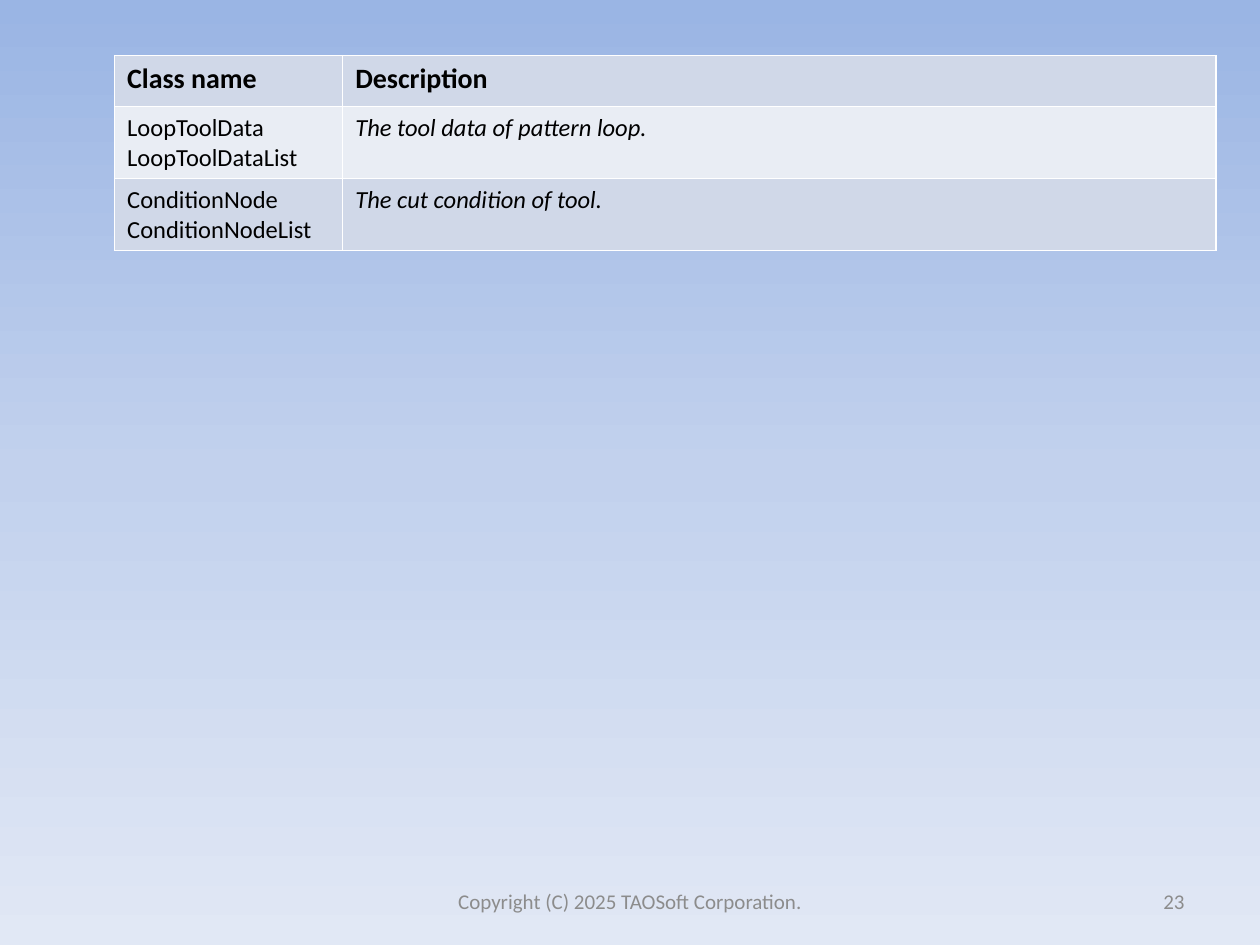
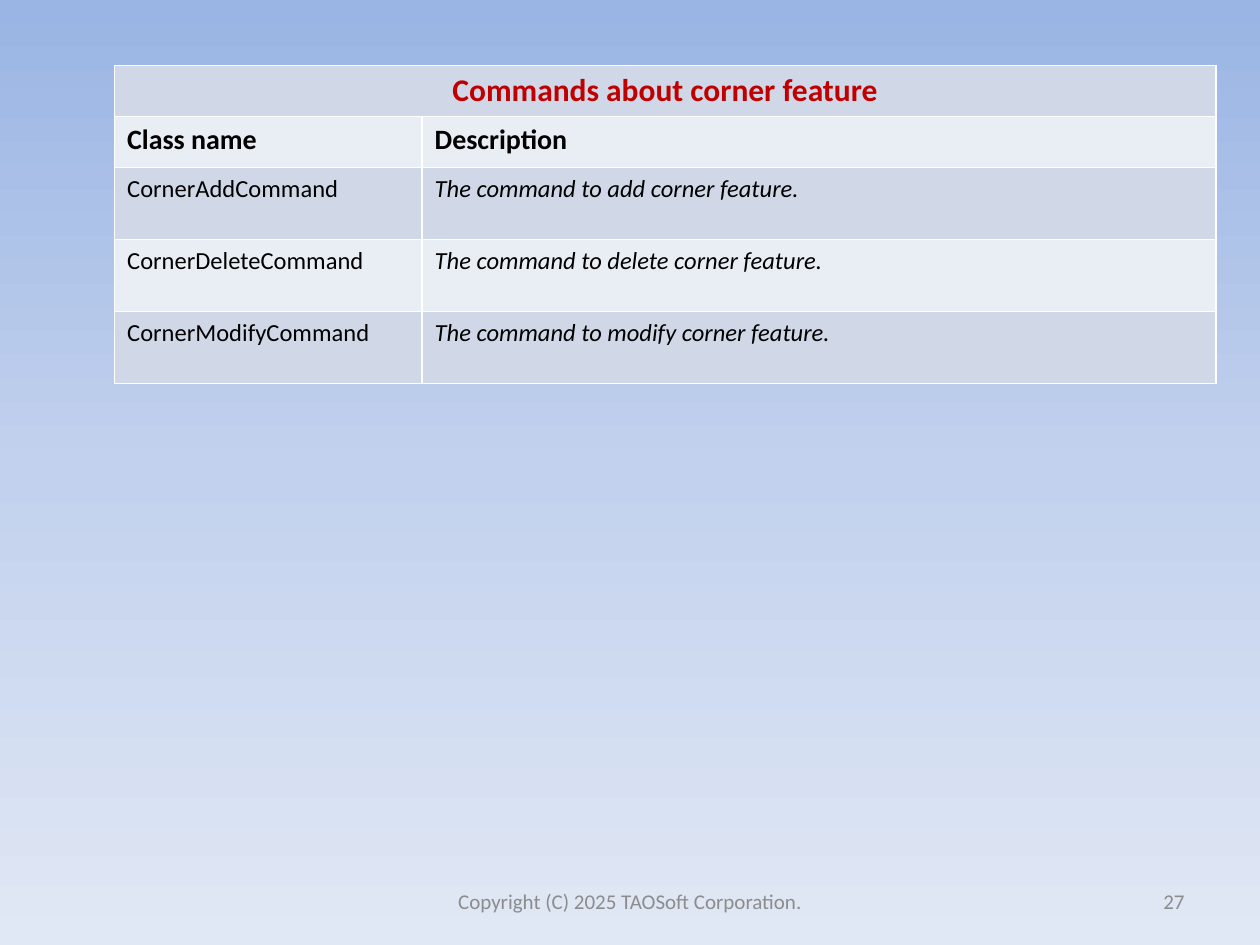
"""Build two class reference slides with banded tables on a shared gradient."""
import copy

import pptx
import pptx.dml.color
import pptx.enum.text
import pptx.oxml
import pptx.oxml.ns
import pptx.util
from pptx.util import Cm

RGBColor = pptx.dml.color.RGBColor
Align = pptx.enum.text.PP_ALIGN

SKY_TOP = RGBColor(0x9A, 0xB5, 0xE4)
SKY_MIDDLE = RGBColor(0xC2, 0xD1, 0xED)
SKY_BOTTOM = RGBColor(0xE1, 0xE8, 0xF5)
BAND_DARK = RGBColor(0xD0, 0xD8, 0xE8)
BAND_LIGHT = RGBColor(0xE9, 0xED, 0xF4)
BLACK = RGBColor(0, 0, 0)
RED = RGBColor(0xC0, 0, 0)
GREY = RGBColor(0x8C, 0x8C, 0x8C)
WHITE = RGBColor(0xFF, 0xFF, 0xFF)

FONT = "Calibri"
COPYRIGHT = "Copyright (C) 2025 TAOSoft Corporation."
COLUMN_NAMES = ("Class name", "Description")
TABLE_LEFT, TABLE_WIDTH = Cm(2.31), Cm(22.2)
HEADER_HEIGHT, BODY_HEIGHT = Cm(1.03), Cm(1.45)


def set_background(master):
    """Give the slide master its three-colour vertical gradient."""
    fill = master.background.fill
    fill.gradient()
    fill.gradient_angle = 270
    stop_list = master.element.find(".//" + pptx.oxml.ns.qn("a:gsLst"))
    stop_list.insert(1, copy.deepcopy(stop_list[0]))
    colors = (SKY_TOP, SKY_MIDDLE, SKY_BOTTOM)
    for index, (stop, color) in enumerate(zip(fill.gradient_stops, colors)):
        stop.position = index / 2
        stop.color.rgb = color


def format_text(text_frame, size, color, bold=False, italic=False, align=Align.LEFT):
    """Apply one text style to every paragraph of a frame."""
    for paragraph in text_frame.paragraphs:
        paragraph.alignment = align
        font = paragraph.font
        font.name = FONT
        font.size = pptx.util.Pt(size)
        font.color.rgb = color
        font.bold = bold
        font.italic = italic


def add_footer_text(slide, text, left, width, align):
    """Add one grey text box on the footer line."""
    text_frame = slide.shapes.add_textbox(left, Cm(17.65), width, Cm(1.02)).text_frame
    text_frame.word_wrap = True
    text_frame.vertical_anchor = pptx.enum.text.MSO_ANCHOR.MIDDLE
    text_frame.text = text
    format_text(text_frame, 12, GREY, align=align)


def style_cell(cell, fill_color):
    """Give a cell white borders and a solid fill."""
    properties = cell._tc.get_or_add_tcPr()
    for side in ("lnL", "lnR", "lnT", "lnB"):
        properties.append(pptx.oxml.parse_xml(
            f'<a:{side} {pptx.oxml.ns.nsdecls("a")} w="12700"><a:solidFill>'
            f'<a:srgbClr val="{WHITE}"/></a:solidFill></a:{side}>'))
    cell.fill.solid()
    cell.fill.fore_color.rgb = fill_color


def add_class_table(slide, top, name_width, classes, heading=None):
    """Add a table of classes, with an optional heading across both columns."""
    header_rows = [COLUMN_NAMES]
    if heading:
        header_rows.insert(0, (heading, ""))
    rows = header_rows + classes
    heights = [HEADER_HEIGHT] * len(header_rows) + [BODY_HEIGHT] * len(classes)
    table = slide.shapes.add_table(
        len(rows), 2, TABLE_LEFT, top, TABLE_WIDTH, sum(heights)).table
    table.first_row = False
    table.horz_banding = False
    table.columns[0].width = name_width
    table.columns[1].width = TABLE_WIDTH - name_width
    for row_index, texts in enumerate(rows):
        table.rows[row_index].height = heights[row_index]
        is_header = row_index < len(header_rows)
        for column_index, text in enumerate(texts):
            cell = table.cell(row_index, column_index)
            style_cell(cell, BAND_LIGHT if row_index % 2 else BAND_DARK)
            cell.text = text
            format_text(cell.text_frame, 16 if is_header else 14, BLACK, bold=is_header,
                        italic=not is_header and column_index == 1)
    if heading:
        heading_cell = table.cell(0, 0)
        heading_cell.merge(table.cell(0, 1))
        format_text(heading_cell.text_frame, 18, RED, bold=True, align=Align.CENTER)


def add_class_slide(presentation, number, top, name_width, classes, heading=None):
    """Add a slide with the shared footer and one class table."""
    slide = presentation.slides.add_slide(presentation.slide_layouts[6])
    add_footer_text(slide, COPYRIGHT, Cm(8.68), Cm(8.04), Align.CENTER)
    add_footer_text(slide, str(number), Cm(18.2), Cm(5.93), Align.RIGHT)
    add_class_table(slide, top, name_width, classes, heading)


def main():
    """Build and save the presentation."""
    presentation = pptx.Presentation()
    presentation.slide_width, presentation.slide_height = Cm(25.4), Cm(19.05)
    set_background(presentation.slide_master)
    add_class_slide(presentation, 23, Cm(1.12), Cm(4.6), [
        ("LoopToolData\nLoopToolDataList", "The tool data of pattern loop."),
        ("ConditionNode\nConditionNodeList", "The cut condition of tool."),
    ])
    corner_commands = [
        (f"Corner{action}Command", f"The command to {action.lower()} corner feature.")
        for action in ("Add", "Delete", "Modify")
    ]
    add_class_slide(presentation, 27, Cm(1.32), Cm(6.2), corner_commands,
                    "Commands about corner feature")
    presentation.save("out.pptx")


if __name__ == "__main__":
    main()
